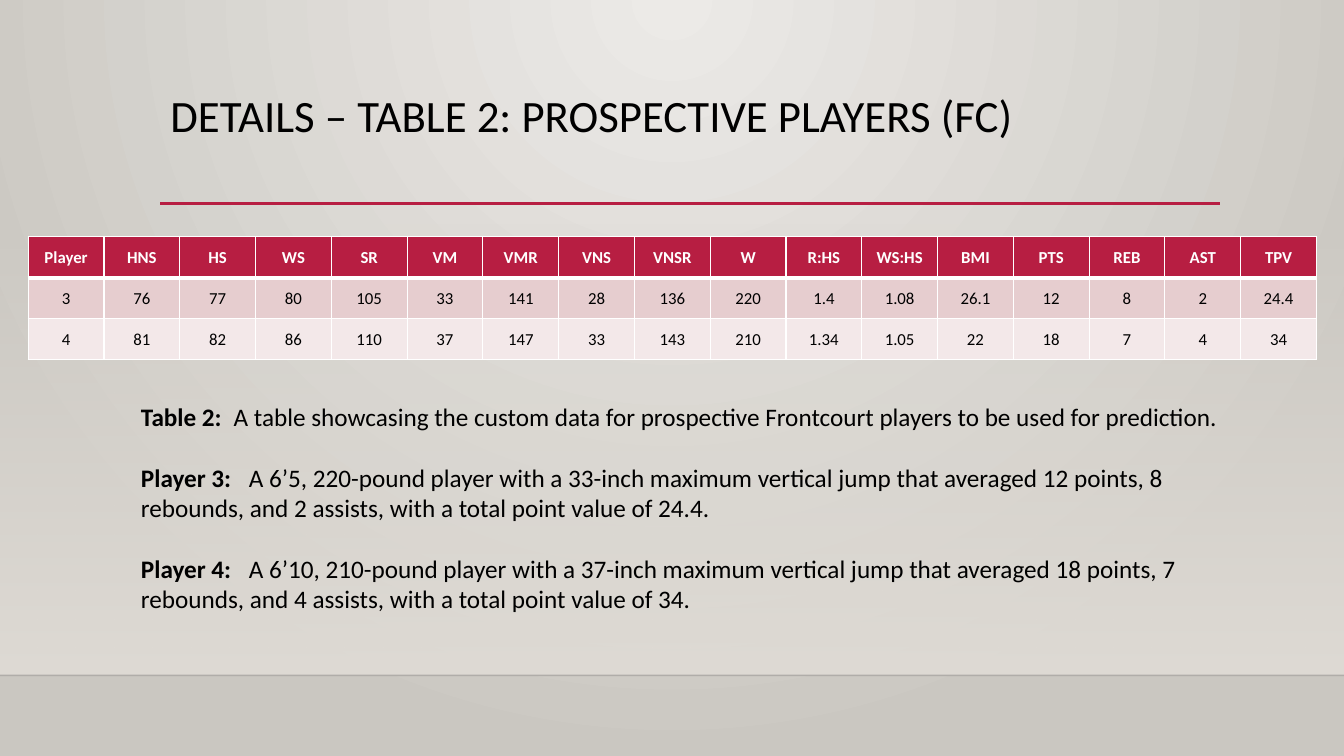
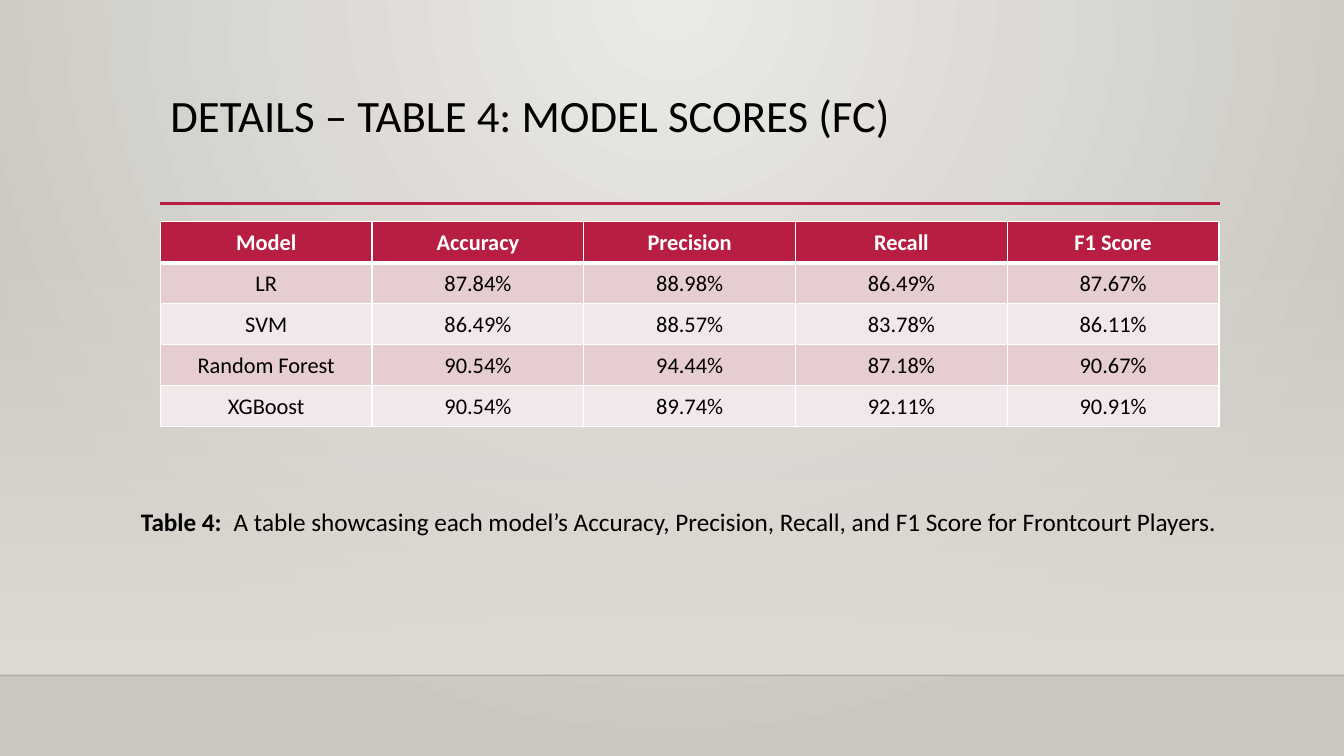
from pptx import Presentation
from pptx.dml.color import RGBColor
from pptx.enum.shapes import MSO_CONNECTOR, MSO_SHAPE
from pptx.enum.text import MSO_ANCHOR, MSO_AUTO_SIZE, PP_ALIGN
from pptx.oxml import parse_xml
from pptx.oxml.ns import nsdecls, qn
from pptx.util import Inches, Pt

# Shared style
FONT = "Calibri"
RED, BLACK, WHITE = "B71E42", "000000", "FFFFFF"
BAND_FILLS = ["E6CDCF", "F3E8E9"]
ROW_HEIGHT = 0.407


def color(value):
    return RGBColor.from_string(value)


def gradient(stops, direction):
    """Gradient fill from (position, colour, opacity) stops, in percent."""
    stop_xml = "".join(
        f'<a:gs pos="{at * 1000}"><a:srgbClr val="{value}">'
        f'<a:alpha val="{opacity * 1000}"/></a:srgbClr></a:gs>'
        for at, value, opacity in stops)
    return parse_xml(f'<a:gradFill {nsdecls("a")} rotWithShape="1">'
                     f'<a:gsLst>{stop_xml}</a:gsLst>{direction}</a:gradFill>')


# Slide contents
SLIDES = [
    {
        "title": "DETAILS – TABLE 2: PROSPECTIVE PLAYERS (FC)",
        "table": (0.28, 2.35, 12.78),
        "size": 12,
        "rows": [
            ["Player", "HNS", "HS", "WS", "SR", "VM", "VMR", "VNS", "VNSR",
             "W", "R:HS", "WS:HS", "BMI", "PTS", "REB", "AST", "TPV"],
            ["3", "76", "77", "80", "105", "33", "141", "28", "136",
             "220", "1.4", "1.08", "26.1", "12", "8", "2", "24.4"],
            ["4", "81", "82", "86", "110", "37", "147", "33", "143",
             "210", "1.34", "1.05", "22", "18", "7", "4", "34"],
        ],
        "caption": (3.93, 2.52),
        # Label, tab stop in inches, description
        "notes": [
            ("Table 2:", 0.92, "A table showcasing the custom data for prospective "
             "Frontcourt players to be used for prediction."),
            ("Player 3:", 1.07, "A 6’5, 220-pound player with a 33-inch maximum vertical "
             "jump that averaged 12 points, 8 rebounds, and 2 assists, with a total "
             "point value of 24.4."),
            ("Player 4:", 1.07, "A 6’10, 210-pound player with a 37-inch maximum vertical "
             "jump that averaged 18 points, 7 rebounds, and 4 assists, with a total "
             "point value of 34."),
        ],
    },
    {
        "title": "DETAILS – TABLE 4: MODEL SCORES (FC)",
        "table": (1.59, 2.2, 10.5),
        "size": 16,
        "rows": [
            ["Model", "Accuracy", "Precision", "Recall", "F1 Score"],
            ["LR", "87.84%", "88.98%", "86.49%", "87.67%"],
            ["SVM", "86.49%", "88.57%", "83.78%", "86.11%"],
            ["Random Forest", "90.54%", "94.44%", "87.18%", "90.67%"],
            ["XGBoost", "90.54%", "89.74%", "92.11%", "90.91%"],
        ],
        "caption": (4.97, 0.4),
        "notes": [
            ("Table 4:", 0.92, "A table showcasing each model’s Accuracy, Precision, "
             "Recall, and F1 Score for Frontcourt Players."),
        ],
    },
]

deck = Presentation()
deck.slide_width, deck.slide_height = Inches(13.33), Inches(7.5)

# Background on the master
master = deck.slide_master
master.background.fill.solid()
background = master.element.find(".//" + qn("p:bgPr"))
background.replace(
    background.find(qn("a:solidFill")),
    gradient([(0, "ECEAE7", 100), (100, "CAC7C1", 100)],
             '<a:path path="circle">'
             '<a:fillToRect l="43000" t="0" r="43000" b="100000"/></a:path>'))

for content in SLIDES:
    page = deck.slides.add_slide(deck.slide_layouts[5])

    # Lower wall, fading in from the top
    wall = page.shapes.add_shape(MSO_SHAPE.RECTANGLE, 0, Inches(2.21),
                                 deck.slide_width, Inches(4.49))
    wall.shadow.inherit = False
    wall.line.fill.background()
    wall.fill.background()
    wall_properties = wall.element.spPr
    wall_properties.replace(
        wall_properties.find(qn("a:noFill")),
        gradient([(0, "DFDBD5", 0), (100, "DFDBD5", 100)],
                 '<a:lin ang="5400000" scaled="0"/>'))

    # Floor edge and title rule
    for left, right, top, value, width, opacity in [
            (0, 13.33, 6.7, "000001", 1, 20), (1.59, 12.1, 2.02, RED, 2.5, 100)]:
        rule = page.shapes.add_connector(MSO_CONNECTOR.STRAIGHT, Inches(left),
                                         Inches(top), Inches(right), Inches(top))
        rule.line.color.rgb = color(value)
        rule.line.width = Pt(width)
        rule_properties = rule.element.spPr
        rule_properties.find(".//" + qn("a:srgbClr")).append(
            parse_xml(f'<a:alpha {nsdecls("a")} val="{opacity * 1000}"/>'))
        rule_properties.append(parse_xml(f'<a:effectLst {nsdecls("a")}/>'))

    # Title
    title = page.shapes.title
    title.left, title.top = Inches(1.59), Inches(0.88)
    title.width, title.height = Inches(10.5), Inches(1.15)
    title.text_frame.text = content["title"]
    title.text_frame.vertical_anchor = MSO_ANCHOR.TOP
    para = title.text_frame.paragraphs[0]
    para.alignment = PP_ALIGN.LEFT
    para.line_spacing = 0.9
    font = para.runs[0].font
    font.name, font.size, font.color.rgb = FONT, Pt(32), color(BLACK)

    # Table
    rows = content["rows"]
    left, top, width = content["table"]
    table = page.shapes.add_table(
        len(rows), len(rows[0]), Inches(left), Inches(top), Inches(width),
        Inches(ROW_HEIGHT * len(rows))).table
    for column in table.columns:
        column.width = Inches(width / len(rows[0]))
    for row_number, values in enumerate(rows):
        table.rows[row_number].height = Inches(ROW_HEIGHT)
        header = row_number == 0
        for column_number, value in enumerate(values):
            cell = table.cell(row_number, column_number)
            cell_format = {
                "text": value, "vertical_anchor": MSO_ANCHOR.MIDDLE,
                "margin_left": Inches(0.07), "margin_right": Inches(0.07),
                "margin_top": 0, "margin_bottom": 0}
            for name, setting in cell_format.items():
                setattr(cell, name, setting)
            cell.fill.solid()
            cell.fill.fore_color.rgb = color(
                RED if header else BAND_FILLS[(row_number - 1) % 2])
            para = cell.text_frame.paragraphs[0]
            para.alignment = PP_ALIGN.CENTER
            para.line_spacing = 1.07
            font = para.runs[0].font
            font.name, font.size, font.bold = FONT, Pt(content["size"]), header
            font.color.rgb = color(WHITE if header else BLACK)
            # White borders, heavier on both sides of the header's lower edge
            weights = {"L": 1, "R": 1, "T": 3 if row_number == 1 else 1,
                       "B": 3 if header else 1}
            for place, (side, weight) in enumerate(weights.items()):
                cell.fill._xPr.insert(place, parse_xml(
                    f'<a:ln{side} {nsdecls("a")} w="{Pt(weight)}"><a:solidFill>'
                    f'<a:srgbClr val="{WHITE}"/></a:solidFill></a:ln{side}>'))

    # Caption
    top, height = content["caption"]
    box = page.shapes.add_textbox(Inches(1.3), Inches(top), Inches(11.07), Inches(height))
    frame = box.text_frame
    frame.word_wrap = True
    frame.auto_size = MSO_AUTO_SIZE.SHAPE_TO_FIT_TEXT
    for number, (label, tab, description) in enumerate(content["notes"]):
        para = frame.add_paragraph() if number else frame.paragraphs[0]
        para.space_before = Pt(22 if number else 0)
        para._p.get_or_add_pPr().append(parse_xml(
            f'<a:tabLst {nsdecls("a")}><a:tab pos="{Inches(tab)}" algn="l"/></a:tabLst>'))
        for text, bold in [(label + "\t", True), (description, False)]:
            span = para.add_run()
            span.text = text
            font = span.font
            font.name, font.size, font.bold = FONT, Pt(18), bold
            font.color.rgb = color(BLACK)

deck.save("out.pptx")
